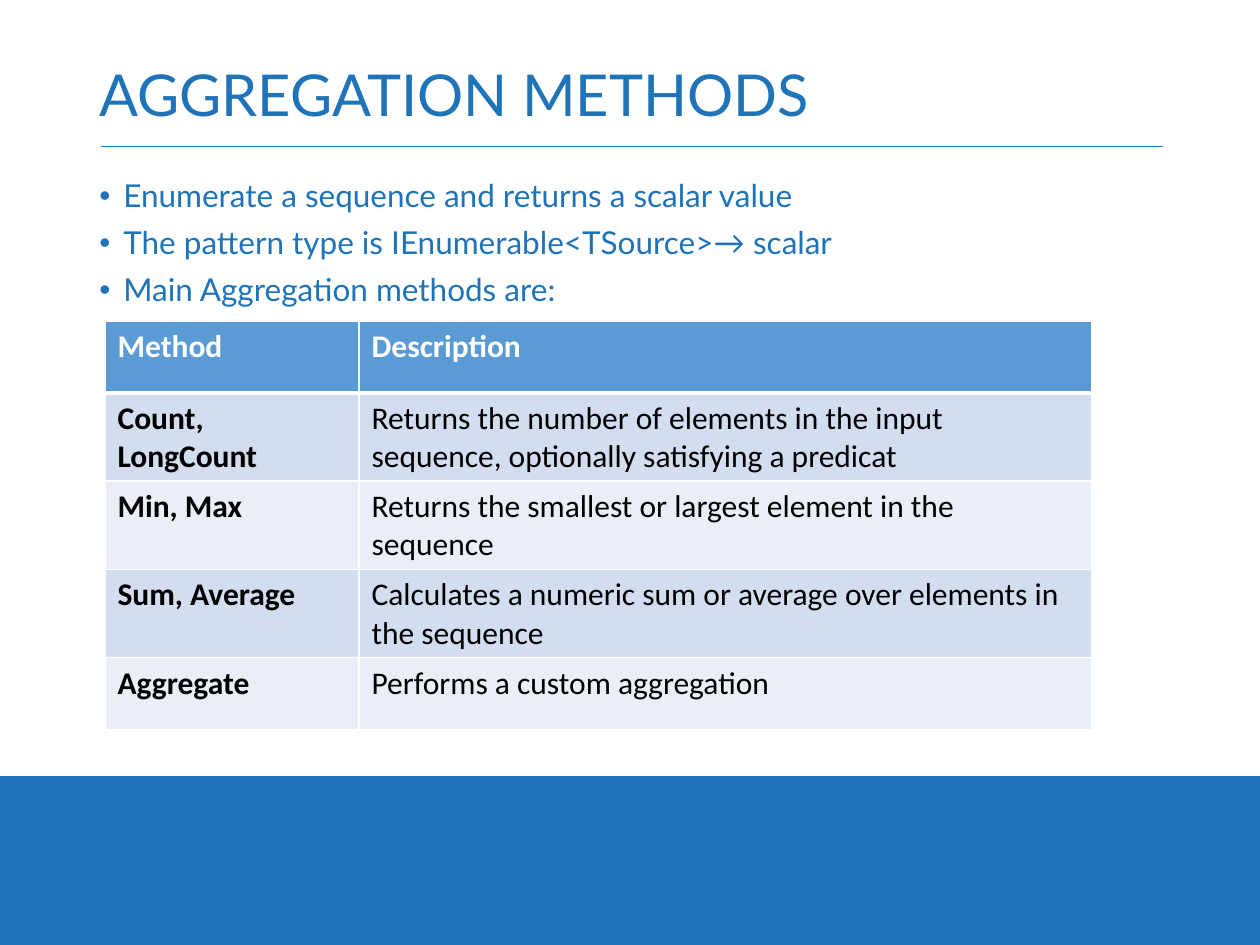
from lxml import etree
from pptx import Presentation
from pptx import util as u
from pptx.dml.color import RGBColor
from pptx.enum import shapes, text
from pptx.oxml.ns import qn

PX = 914400 / 126
BLUE = RGBColor(0x1E, 0x73, 0xB9)
HEADER_BLUE = RGBColor(0x5B, 0x9B, 0xD5)
BAND_DARK = RGBColor(0xD2, 0xDE, 0xEF)
BAND_LIGHT = RGBColor(0xEA, 0xEF, 0xF7)
WHITE = RGBColor(0xFF, 0xFF, 0xFF)
BLACK = RGBColor(0, 0, 0)

BULLETS = [
    "Enumerate a sequence and returns a scalar value",
    "The pattern type is IEnumerable<TSource>→ scalar",
    "Main Aggregation methods are:",
]
METHODS = [
    ("Method", "Description"),
    ("Count, LongCount", "Returns the number of elements in the input sequence, "
                         "optionally satisfying a predicat"),
    ("Min, Max", "Returns the smallest or largest element in the sequence"),
    ("Sum, Average", "Calculates a numeric sum or average over elements in the sequence"),
    ("Aggregate", "Performs a custom aggregation"),
]


def emu(*lengths):
    return [u.Emu(round(length * PX)) for length in lengths]


def write(paragraph, words, font_format, color):
    run = paragraph.add_run()
    run.text = words
    for key, value in font_format.items():
        setattr(run.font, key, value)
    run.font.color.rgb = color


prs = Presentation()
prs.slide_width, prs.slide_height = emu(1260, 945)
slide = prs.slides.add_slide(prs.slide_layouts[6])
slide.background.fill.solid()
slide.background.fill.fore_color.rgb = BLUE

# White page above the blue footer band
page = slide.shapes.add_shape(shapes.MSO_SHAPE.RECTANGLE, *emu(0, 0, 1260, 776))
page.shadow.inherit = False
page.fill.solid()
page.fill.fore_color.rgb = WHITE
page.line.fill.background()

rule = slide.shapes.add_connector(shapes.MSO_CONNECTOR.STRAIGHT, *emu(101, 146, 1163, 146))
rule.line.color.rgb = BLUE
rule.line.width = u.Pt(0.5)
etree.SubElement(rule._element.spPr, qn("a:effectLst"))

# Title and bullets
title = slide.shapes.add_textbox(*emu(87, 50, 1086, 96)).text_frame
title.word_wrap = True
title.vertical_anchor = text.MSO_ANCHOR.MIDDLE
title.paragraphs[0].line_spacing = 0.9
write(title.paragraphs[0], "AGGREGATION METHODS", {"name": "Lato", "size": u.Pt(33)}, BLUE)

body = slide.shapes.add_textbox(*emu(87, 174, 1086, 571)).text_frame
body.word_wrap = True
indent = emu(24)[0]
for i, bullet in enumerate(BULLETS):
    paragraph = body.add_paragraph() if i else body.paragraphs[0]
    paragraph.alignment = text.PP_ALIGN.JUSTIFY
    paragraph.line_spacing = 0.9
    paragraph.space_before = u.Pt(7.5)
    write(paragraph, bullet, {"name": "Lato", "size": u.Pt(18)}, BLUE)
    properties = paragraph._p.get_or_add_pPr()
    properties.set("marL", str(indent))
    properties.set("indent", str(-indent))
    etree.SubElement(properties, qn("a:buFont"), typeface="Arial")
    etree.SubElement(properties, qn("a:buChar"), char="•")

# Table of methods
table = slide.shapes.add_table(len(METHODS), 2, *emu(105, 321, 987, 360)).table
for column, width in zip(table.columns, emu(254, 733)):
    column.width = width
for r, row in enumerate(METHODS):
    table.rows[r].height = emu(72)[0]
    fill = HEADER_BLUE if r == 0 else (BAND_DARK if r % 2 else BAND_LIGHT)
    for c, words in enumerate(row):
        cell = table.cell(r, c)
        cell.fill.solid()
        cell.fill.fore_color.rgb = fill
        write(cell.text_frame.paragraphs[0], words,
              {"name": "Calibri", "size": u.Pt(18), "bold": r == 0 or c == 0},
              BLACK if r else WHITE)
        # Borders come before the fill; the header is set off by a thick line
        borders = {"lnL": 1, "lnR": 1, "lnT": 3 if r == 1 else 1, "lnB": 1 if r else 3}
        for position, (side, points) in enumerate(borders.items()):
            border = etree.Element(qn(f"a:{side}"), w=str(u.Pt(points)))
            border_fill = etree.SubElement(border, qn("a:solidFill"))
            etree.SubElement(border_fill, qn("a:srgbClr"), val=str(WHITE))
            cell._tc.get_or_add_tcPr().insert(position, border)

prs.save("out.pptx")
